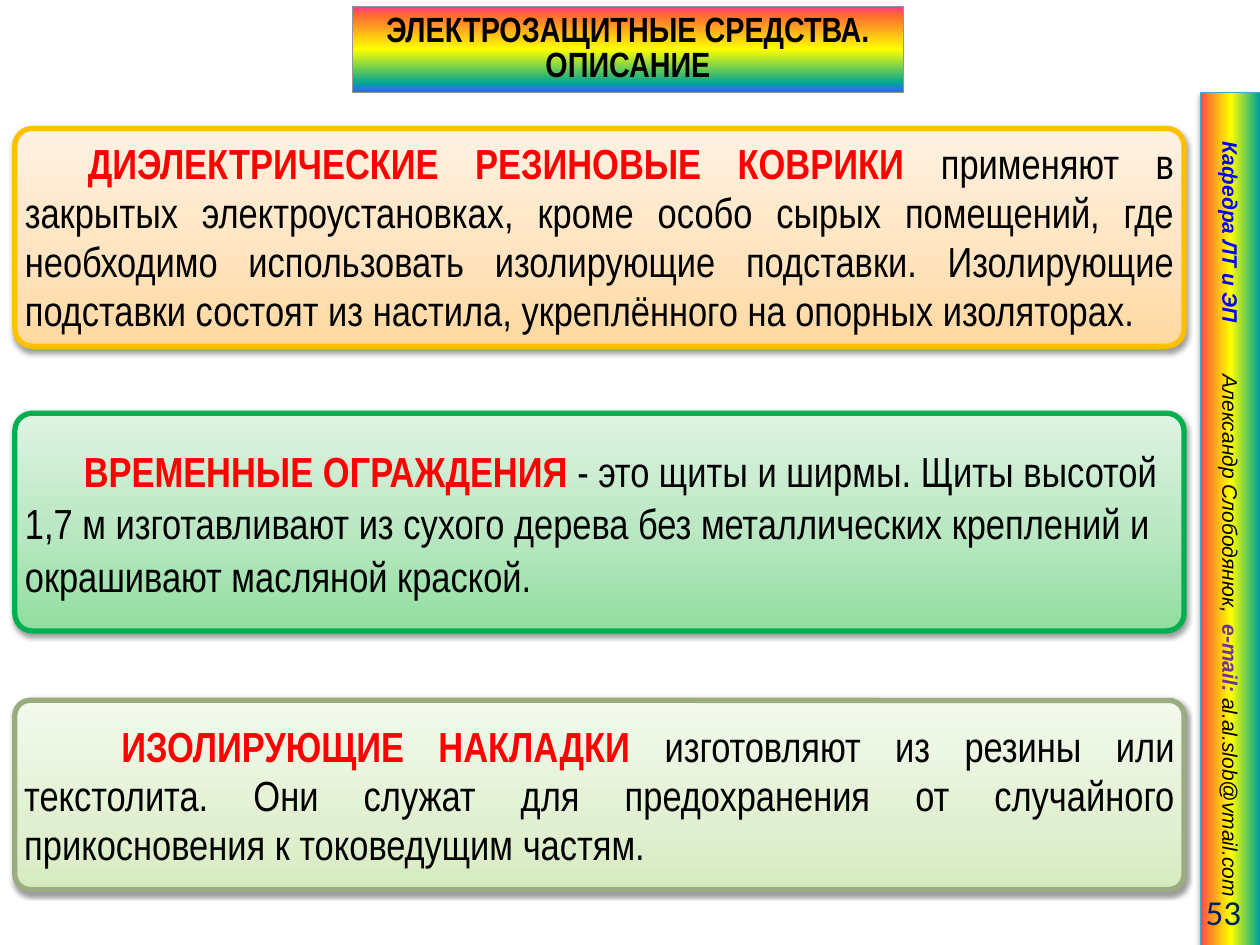
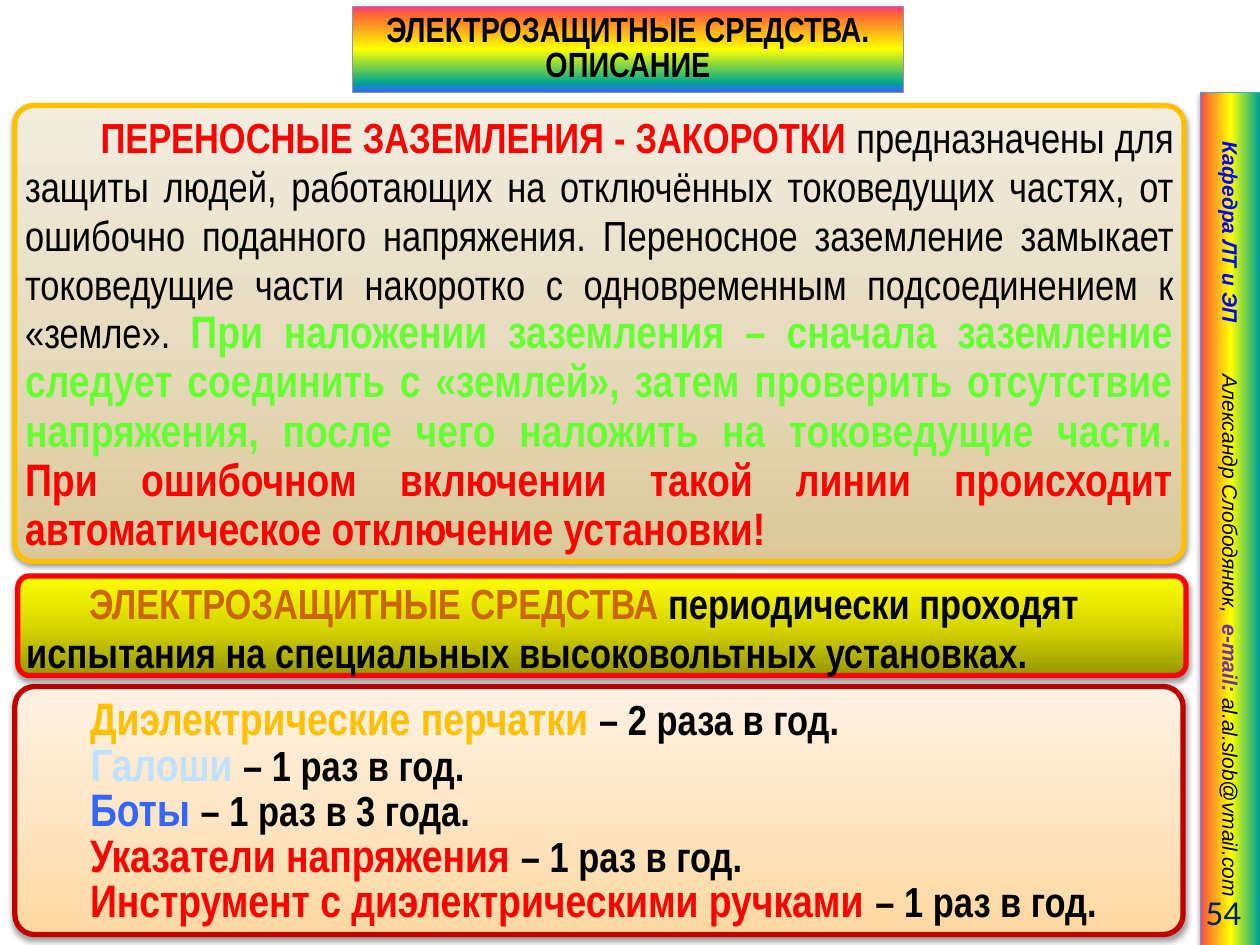
"""Builds two slides on electrical safety gear with a shared title and side band."""
from dataclasses import dataclass

import lxml.etree
import pptx
import pptx.dml.color
import pptx.enum.shapes
import pptx.enum.text
import pptx.oxml
import pptx.oxml.ns
import pptx.util

Cm = pptx.util.Cm
Pt = pptx.util.Pt
Align = pptx.enum.text.PP_ALIGN
Form = pptx.enum.shapes.MSO_SHAPE
Stops = tuple[tuple[int, str], ...]


@dataclass(frozen=True)
class Theme:
    black: str = "000000"
    red: str = "FF0000"
    blue: str = "0000FF"
    navy: str = "002060"
    plum: str = "7030A0"
    lime: str = "66FF33"
    rust: str = "CC6600"
    gold: str = "FFC000"
    ice: str = "BFE1FF"
    sky: str = "3366FF"
    green: str = "00B050"
    sage: str = "99AD80"
    wine: str = "C00000"
    gray: str = "969696"
    teal: str = "46AAC5"
    peach: Stops = ((0, "FFD8A0"), (50, "FFE6C5"), (100, "FFF2E3"))
    mint: Stops = ((0, "91DEA0"), (50, "BDE8C5"), (100, "DFF3E3"))
    leaf: Stops = ((0, "D5EBBF"), (35, "E1F0D2"), (100, "F3FAED"))
    sand: Stops = ((0, "DCC897"), (50, "E7DCC0"), (100, "F3EDE0"))
    olive: Stops = ((0, "979700"), (50, "D7D700"), (100, "FFFF00"))
    head: Stops = ((0, "FF3399"), (9, "FF6633"), (50, "FFFF00"), (89, "01A78F"), (99, "3366FF"))
    side: Stops = ((0, "FF3399"), (6, "FF6633"), (50, "FFFF00"), (96, "01A78F"), (100, "3366FF"))
    font: str = "Arial Narrow"
    plain: str = "Arial"
    digit: str = "Calibri"
    small: int = 12
    mid: int = 20
    text: int = 24
    large: int = 26


T = Theme()


@dataclass(frozen=True)
class Run:
    text: str
    color: str = T.black
    bold: bool = False
    size: int = T.text
    font: str = T.font
    slant: bool = False
    gap: float = 0


@dataclass(frozen=True)
class Box:
    left: float
    top: float
    width: float
    height: float


@dataclass(frozen=True)
class Panel:
    box: Box
    fill: Stops
    line: str
    round: float
    lines: tuple[tuple[Run, ...], ...]
    indent: float = 1.27
    pitch: int = 28
    align: Align = Align.JUSTIFY
    foot: float = 0.1


@dataclass(frozen=True)
class Page:
    number: str
    layout: int
    panels: tuple[Panel, ...]


def tint(code: str) -> pptx.dml.color.RGBColor:
    return pptx.dml.color.RGBColor.from_string(code)


def place(shape, box: Box) -> None:
    shape.left, shape.top = Cm(box.left), Cm(box.top)
    shape.width, shape.height = Cm(box.width), Cm(box.height)


def add(node, tag: str, **attrs: str):
    return lxml.etree.SubElement(node, pptx.oxml.ns.qn(tag), attrs)


def paint(shape, stops: Stops, angle: int, line: str, width: float, shade: bool) -> None:
    shape.fill.gradient()
    shape.fill.gradient_angle = angle
    props = shape._element.spPr
    ramp = props.find(".//" + pptx.oxml.ns.qn("a:gsLst"))
    ramp.clear()
    for spot, code in stops:
        add(add(ramp, "a:gs", pos=str(spot * 1000)), "a:srgbClr", val=code)
    shape.line.color.rgb = tint(line)
    shape.line.width = Pt(width)
    shape.shadow.inherit = False
    if shade:
        effect = props.find(pptx.oxml.ns.qn("a:effectLst"))
        cast = add(effect, "a:outerShdw", blurRad="40000", dist="20000", dir="5400000", rotWithShape="0")
        add(add(cast, "a:srgbClr", val=T.black), "a:alpha", val="38000")


def curve(shape) -> None:
    space = pptx.oxml.ns.nsdecls("a")
    shape._element.spPr.insert(1, pptx.oxml.parse_xml(
        f'<a:prstGeom {space} prst="roundRect"><a:avLst/></a:prstGeom>'))


def write(shape, lines: tuple[tuple[Run, ...], ...], align: Align, indent: float = 0,
          pitch: int | None = None, pad: float | None = 0.1, foot: float = 0.1) -> None:
    frame = shape.text_frame
    frame.word_wrap = True
    frame.auto_size = pptx.enum.text.MSO_AUTO_SIZE.NONE
    frame.vertical_anchor = pptx.enum.text.MSO_ANCHOR.MIDDLE
    if pad is not None:
        frame.margin_left = frame.margin_right = frame.margin_top = Cm(pad)
        frame.margin_bottom = Cm(foot)
    for rank, runs in enumerate(lines):
        para = frame.add_paragraph() if rank else frame.paragraphs[0]
        para.alignment = align
        para.space_before = Pt(0)
        if pitch:
            para.line_spacing = Pt(pitch)
        props = para._p.get_or_add_pPr()
        props.set("marL", "0")
        props.set("indent", str(Cm(indent)))
        add(props, "a:buNone")
        for item in runs:
            run = para.add_run()
            run.text = item.text
            font = run.font
            font.name, font.size = item.font, Pt(item.size)
            font.bold, font.italic = item.bold, item.slant
            font.color.rgb = tint(item.color)
            if item.gap:
                run._r.get_or_add_rPr().set("spc", str(round(item.gap * 100)))


def side(text: str, color: str = T.black, bold: bool = False, gap: float = 0) -> Run:
    return Run(text, color, bold, T.small, T.plain, True, gap)


def draw_band(slide, number: str) -> None:
    band = slide.shapes.add_shape(Form.RECTANGLE, 0, 0, 0, 0)
    place(band, Box(16.21, 9.86, 17.2, 1.22))
    band.rotation = 90
    paint(band, T.side, 90, T.teal, 0.75, True)
    write(band, ((
        side("Кафедра ЛТ и ЭП", T.blue, True), side(" ", gap=26.6),
        side("Александр Слободянюк,"), side(" ", gap=3.3),
        side("e-mail: ", T.plum, True), side("al.al.slob@vmail.com")),),
        Align.CENTER, pad=None)
    label = slide.shapes.add_textbox(0, 0, 0, 0)
    place(label, Box(22.5, 17.86, 2.77, 1.02))
    write(label, ((Run(number, T.navy, size=T.mid, font=T.digit),),), Align.RIGHT, pad=None)


def draw_title(slide) -> None:
    title = slide.shapes.title
    place(title, Box(7.11, 0.13, 11.1, 1.73))
    curve(title)
    paint(title, T.head, 270, T.gray, 0.75, False)
    write(title, ((Run("ЭЛЕКТРОЗАЩИТНЫЕ СРЕДСТВА. ОПИСАНИЕ", bold=True, size=T.mid),),),
          Align.CENTER, pitch=20)


def draw_panel(shape, panel: Panel) -> None:
    place(shape, panel.box)
    if shape.is_placeholder:
        curve(shape)
    shape.adjustments[0] = panel.round
    paint(shape, panel.fill, 90, panel.line, 3, True)
    write(shape, panel.lines, panel.align, panel.indent, panel.pitch, foot=panel.foot)


def term(text: str, rest: str) -> tuple[Run, ...]:
    return Run(text + " ", T.red, True), Run(rest)


def check(name: str, color: str, rate: str) -> tuple[Run, ...]:
    return Run(name + " ", color, True, T.large), Run("– " + rate, bold=True)


PAGES = (
    Page("53", 5, (
        Panel(Box(0.3, 2.59, 23.57, 4.39), T.peach, T.gold, 0.08, (term(
            "ДИЭЛЕКТРИЧЕСКИЕ РЕЗИНОВЫЕ КОВРИКИ",
            "применяют в закрытых электроустановках, кроме особо сырых помещений, "
            "где необходимо использовать изолирующие подставки. Изолирующие "
            "подставки состоят из настила, укреплённого на опорных изоляторах."),)),
        Panel(Box(0.3, 8.33, 23.57, 4.39), T.mint, T.green, 0.08, (term(
            "ВРЕМЕННЫЕ ОГРАЖДЕНИЯ",
            "- это щиты и ширмы. Щиты высотой 1,7 м изготавливают из сухого дерева "
            "без металлических креплений и окрашивают масляной краской."),),
            1.19, 30, Align.LEFT),
        Panel(Box(0.3, 14.12, 23.57, 3.81), T.leaf, T.sage, 0.08, (term(
            "ИЗОЛИРУЮЩИЕ НАКЛАДКИ",
            "изготовляют из резины или текстолита. Они служат для предохранения "
            "от случайного прикосновения к токоведущим частям."),), 1.96),
    )),
    Page("54", 1, (
        Panel(Box(0.3, 2.13, 23.57, 9.19), T.sand, T.gold, 0.04, (term(
            "ПЕРЕНОСНЫЕ ЗАЗЕМЛЕНИЯ - ЗАКОРОТКИ",
            "предназначены для защиты людей, работающих на отключённых токоведущих "
            "частях, от ошибочно поданного напряжения. Переносное заземление замыкает "
            "токоведущие части накоротко с одновременным подсоединением к «земле». ") + (
            Run("При наложении заземления – сначала заземление следует соединить "
                "с «землей», затем проверить отсутствие напряжения, после чего "
                "наложить на токоведущие части. ", T.lime, True, T.large),
            Run("При ошибочном включении такой линии происходит автоматическое "
                "отключение установки!", T.red, True, T.large)),), 1.52),
        Panel(Box(0.36, 11.61, 23.55, 2.01), T.olive, T.red, 0.12, ((
            Run("ЭЛЕКТРОЗАЩИТНЫЕ СРЕДСТВА ", T.rust, True),
            Run("периодически проходят испытания на специальных высоковольтных "
                "установках.", bold=True)),), align=Align.LEFT, foot=0),
        Panel(Box(0.3, 13.84, 23.55, 5), T.peach, T.wine, 0.08, (
            check("Диэлектрические перчатки", T.gold, "2 раза в год."),
            check("Галоши", T.ice, "1 раз в год."),
            check("Боты", T.sky, "1 раз в 3 года."),
            check("Указатели напряжения", T.red, "1 раз в год."),
            check("Инструмент с диэлектрическими ручками", T.red, "1 раз в год.")),
            1.3, 26, foot=0),
    )),
)


def main() -> None:
    deck = pptx.Presentation()
    deck.slide_width, deck.slide_height = Cm(25.4), Cm(19.05)
    for page in PAGES:
        slide = deck.slides.add_slide(deck.slide_layouts[page.layout])
        draw_band(slide, page.number)
        draw_title(slide)
        for panel in page.panels:
            if len(panel.lines) > 1:
                shape = slide.placeholders[1]
            else:
                shape = slide.shapes.add_shape(Form.ROUNDED_RECTANGLE, 0, 0, 0, 0)
            draw_panel(shape, panel)
    deck.save("out.pptx")


if __name__ == "__main__":
    main()
